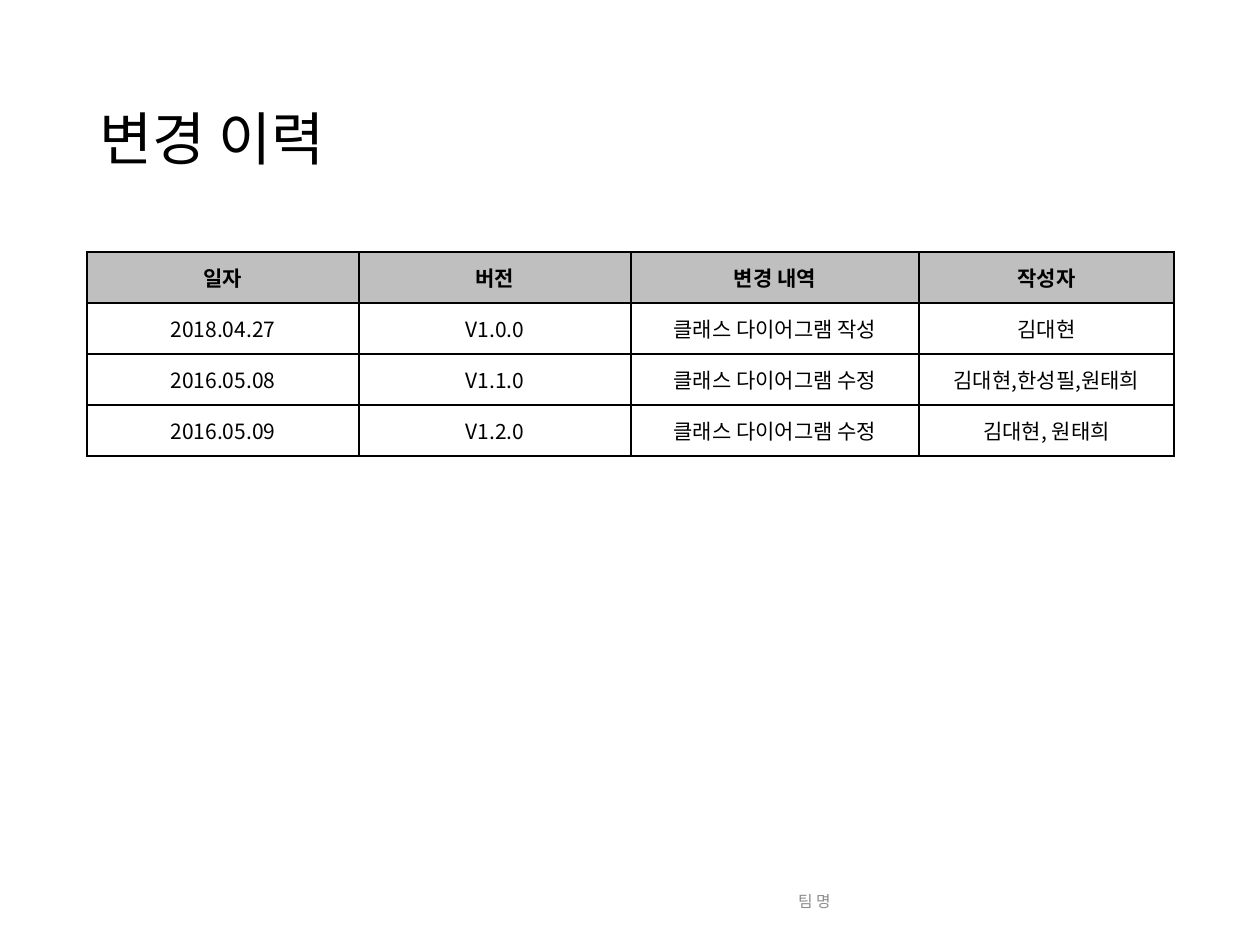
from dataclasses import dataclass

from lxml import etree
from pptx import Presentation
from pptx.dml.color import RGBColor
from pptx.enum.text import MSO_ANCHOR, PP_ALIGN
from pptx.oxml.ns import qn
from pptx.util import Pt

LEFT, CENTER, RIGHT = PP_ALIGN.LEFT, PP_ALIGN.CENTER, PP_ALIGN.RIGHT
MIDDLE = MSO_ANCHOR.MIDDLE
EMU_PER_PX = 914400 / 126
BORDER_TAGS = ("a:lnL", "a:lnR", "a:lnT", "a:lnB")


@dataclass(frozen=True)
class Theme:
    font: str = "Noto Sans CJK KR"
    text: str = "000000"
    muted: str = "8C8C8C"
    border: str = "000000"
    header_fill: str = "BFBFBF"
    body_fill: str = "FFFFFF"
    title_size: int = 33
    table_size: int = 12
    footer_size: int = 9
    border_width: int = 1


THEME = Theme()

COLUMN_WIDTHS = (272, 272, 288, 255)
ROW_HEIGHT = 51
HISTORY = (
    ("일자", "버전", "변경 내역", "작성자"),
    ("2018.04.27", "V1.0.0", "클래스 다이어그램 작성", "김대현"),
    ("2016.05.08", "V1.1.0", "클래스 다이어그램 수정", "김대현,한성필,원태희"),
    ("2016.05.09", "V1.2.0", "클래스 다이어그램 수정", "김대현, 원태희"),
)


def px(value):
    return round(value * EMU_PER_PX)


def add_run(p, text, size, color, bold=False):
    """Add a run whose Latin and Korean glyphs share the theme font."""
    r = p.add_run()
    r.text = text
    r.font.name = THEME.font
    r.font.size = Pt(size)
    r.font.bold = bold
    r.font.color.rgb = RGBColor.from_string(color)
    ea = etree.SubElement(r.font._element, qn("a:ea"))
    ea.set("typeface", THEME.font)


def add_text(s, box, text, size, color, align=LEFT, line_spacing=1.0):
    tf = s.shapes.add_textbox(*map(px, box)).text_frame
    tf.word_wrap = True
    tf.vertical_anchor = MIDDLE
    p = tf.paragraphs[0]
    p.alignment = align
    p.line_spacing = line_spacing
    add_run(p, text, size, color)


def set_borders(cell):
    """Draw all four edges; the lines must precede the fill in tcPr."""
    tc_pr = cell._tc.get_or_add_tcPr()
    for i, tag in enumerate(BORDER_TAGS):
        ln = etree.Element(qn(tag), w=str(Pt(THEME.border_width)))
        fill = etree.SubElement(ln, qn("a:solidFill"))
        etree.SubElement(fill, qn("a:srgbClr"), val=THEME.border)
        tc_pr.insert(i, ln)


def fill_cell(cell, text, is_header):
    cell.fill.solid()
    color = THEME.header_fill if is_header else THEME.body_fill
    cell.fill.fore_color.rgb = RGBColor.from_string(color)
    cell.vertical_anchor = MIDDLE
    p = cell.text_frame.paragraphs[0]
    p.alignment = CENTER
    add_run(p, text, THEME.table_size, THEME.text, bold=is_header)
    set_borders(cell)


def add_history_table(s, left, top):
    width, height = sum(COLUMN_WIDTHS), ROW_HEIGHT * len(HISTORY)
    table = s.shapes.add_table(len(HISTORY), len(COLUMN_WIDTHS),
                               px(left), px(top), px(width), px(height)).table
    for column, column_width in zip(table.columns, COLUMN_WIDTHS):
        column.width = px(column_width)
    for i, values in enumerate(HISTORY):
        table.rows[i].height = px(ROW_HEIGHT)
        for j, value in enumerate(values):
            fill_cell(table.cell(i, j), value, is_header=i == 0)


def main():
    prs = Presentation()
    prs.slide_width, prs.slide_height = px(1260), px(945)
    s = prs.slides.add_slide(prs.slide_layouts[6])
    add_text(s, (87, 50, 1086, 183), "변경 이력", THEME.title_size, THEME.text,
             line_spacing=0.9)
    add_history_table(s, 87, 252)
    add_text(s, (417, 876, 426, 50), "팀 명", THEME.footer_size, THEME.muted,
             align=RIGHT)
    prs.save("out.pptx")


if __name__ == "__main__":
    main()
